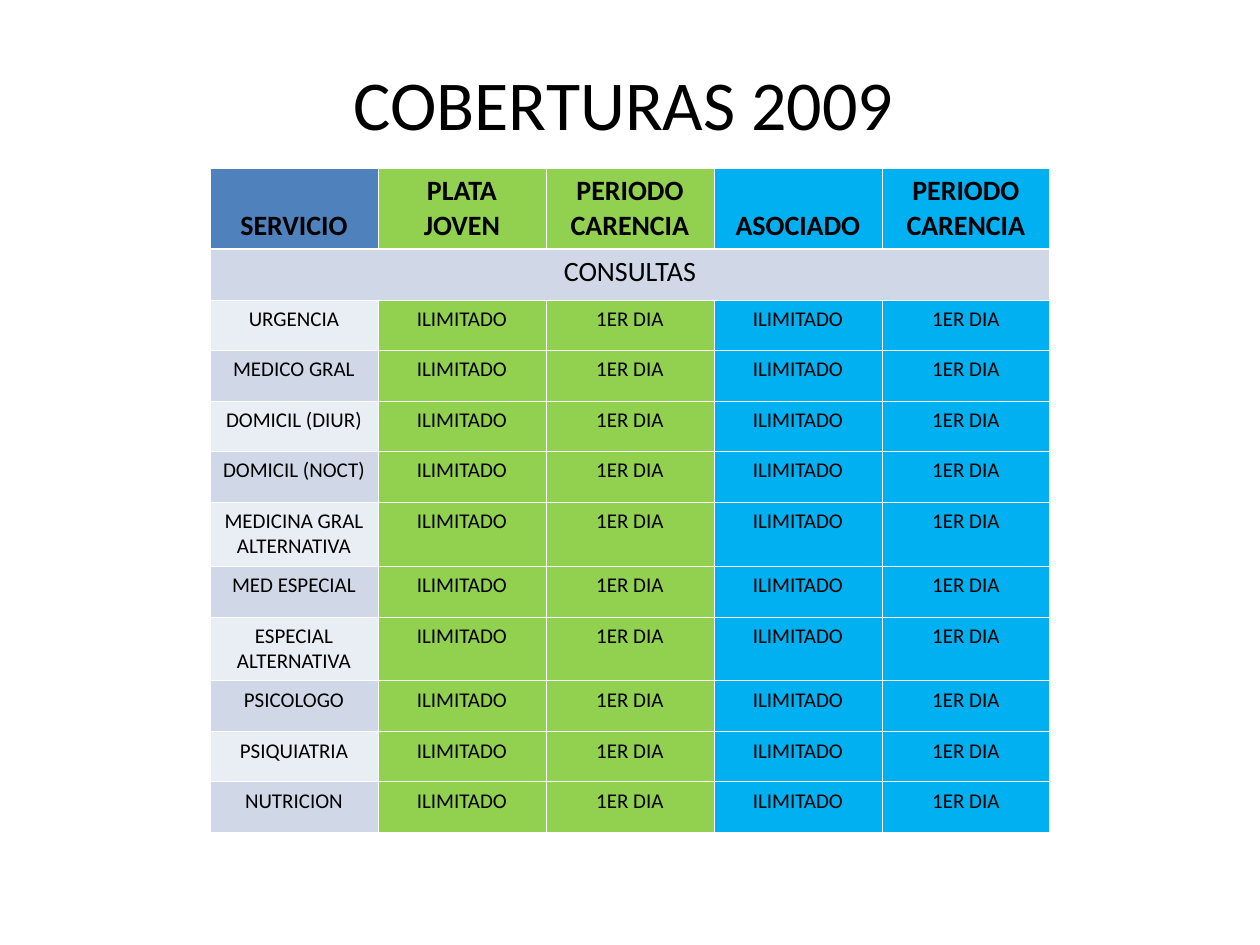
"""Build the slide of 2009 health service coverage."""
from dataclasses import dataclass

from lxml.etree import SubElement
from pptx import Presentation
from pptx.dml.color import RGBColor
from pptx.enum.text import MSO_ANCHOR, PP_ALIGN
from pptx.oxml.ns import qn
from pptx.slide import Slide
from pptx.table import Table, _Cell
from pptx.text.text import TextFrame
from pptx.util import Emu, Pt

PIXELS_PER_INCH = 126
FONT = "Calibri"
BLACK = RGBColor(0x00, 0x00, 0x00)
WHITE = RGBColor(0xFF, 0xFF, 0xFF)
BLUE = RGBColor(0x4F, 0x81, 0xBD)
GREEN = RGBColor(0x92, 0xD0, 0x50)
CYAN = RGBColor(0x00, 0xB0, 0xF0)
DARK_BAND = RGBColor(0xD0, 0xD8, 0xE8)
LIGHT_BAND = RGBColor(0xE9, 0xED, 0xF4)
THIN, THICK = 0.45, 1.47
COLUMN_WIDTH = 168


@dataclass(frozen=True)
class Plan:
    name: str
    color: RGBColor


@dataclass(frozen=True)
class Service:
    name: str
    height: int


@dataclass(frozen=True)
class RowStyle:
    size: int
    bold: bool = False
    anchor: MSO_ANCHOR = MSO_ANCHOR.TOP
    top_line: float = THIN
    bottom_line: float = THIN


PLANS = (Plan("PLATA JOVEN", GREEN), Plan("ASOCIADO", CYAN))
SERVICES = (
    Service("URGENCIA", 50),
    Service("MEDICO GRAL", 51),
    Service("DOMICIL (DIUR)", 50),
    Service("DOMICIL (NOCT)", 51),
    Service("MEDICINA GRAL ALTERNATIVA", 64),
    Service("MED ESPECIAL", 51),
    Service("ESPECIAL ALTERNATIVA", 64),
    Service("PSICOLOGO", 51),
    Service("PSIQUIATRIA", 50),
    Service("NUTRICION", 51),
)
HEADER = RowStyle(16, True, MSO_ANCHOR.BOTTOM, bottom_line=THICK)
SECTION = RowStyle(16, top_line=THICK)
BODY = RowStyle(12)


def px(length: int) -> Emu:
    return Emu(round(length * 914400 / PIXELS_PER_INCH))


def write_text(frame: TextFrame, text: str, size: int, bold: bool = False) -> None:
    paragraph = frame.paragraphs[0]
    paragraph.alignment = PP_ALIGN.CENTER
    run = paragraph.add_run()
    run.text = text
    run.font.name = FONT
    run.font.size = Pt(size)
    run.font.bold = bold
    run.font.color.rgb = BLACK


def add_title(slide: Slide, text: str) -> None:
    shape = slide.shapes.add_textbox(px(88), px(59), px(1071), px(88))
    shape.text_frame.word_wrap = True
    shape.text_frame.vertical_anchor = MSO_ANCHOR.MIDDLE
    write_text(shape.text_frame, text, 40)


def style_cell(cell: _Cell, color: RGBColor, style: RowStyle) -> None:
    properties = cell._tc.get_or_add_tcPr()
    borders = {"lnL": THIN, "lnR": THIN, "lnT": style.top_line, "lnB": style.bottom_line}
    for side, width in borders.items():
        line = SubElement(properties, qn(f"a:{side}"), w=str(Pt(width)))
        fill = SubElement(line, qn("a:solidFill"))
        SubElement(fill, qn("a:srgbClr"), val=str(WHITE))
    cell.fill.solid()
    cell.fill.fore_color.rgb = color
    cell.vertical_anchor = style.anchor
    cell.margin_left = cell.margin_right = Pt(7.2)
    cell.margin_top = cell.margin_bottom = Pt(3.6)


def fill_row(
    table: Table, index: int, height: int, texts: list[str], colors: list[RGBColor], style: RowStyle
) -> None:
    table.rows[index].height = px(height)
    for cell, color in zip(table.rows[index].cells, colors):
        style_cell(cell, color, style)
    for cell, text in zip(table.rows[index].cells, texts):
        write_text(cell.text_frame, text, style.size, style.bold)


def add_coverage_table(slide: Slide) -> None:
    row_count, column_count = len(SERVICES) + 2, 2 * len(PLANS) + 1
    header_height, section_height = 81, 51
    height = header_height + section_height + sum(service.height for service in SERVICES)
    table = slide.shapes.add_table(
        row_count, column_count, px(210), px(168), px(COLUMN_WIDTH * column_count), px(height)
    ).table
    for column in table.columns:
        column.width = px(COLUMN_WIDTH)
    plan_colors = [plan.color for plan in PLANS for _ in range(2)]
    headings = [text for plan in PLANS for text in (plan.name, "PERIODO CARENCIA")]
    fill_row(table, 0, header_height, ["SERVICIO", *headings], [BLUE, *plan_colors], HEADER)
    fill_row(table, 1, section_height, ["CONSULTAS"], [DARK_BAND] * column_count, SECTION)
    table.cell(1, 0).merge(table.cell(1, column_count - 1))
    for index, service in enumerate(SERVICES, start=2):
        band = DARK_BAND if index % 2 else LIGHT_BAND
        texts = [service.name, *["ILIMITADO", "1ER DIA"] * len(PLANS)]
        fill_row(table, index, service.height, texts, [band, *plan_colors], BODY)


def main() -> None:
    presentation = Presentation()
    presentation.slide_width = px(1260)
    presentation.slide_height = px(945)
    slide = presentation.slides.add_slide(presentation.slide_layouts[6])
    add_title(slide, "COBERTURAS 2009")
    add_coverage_table(slide)
    presentation.save("out.pptx")


if __name__ == "__main__":
    main()
